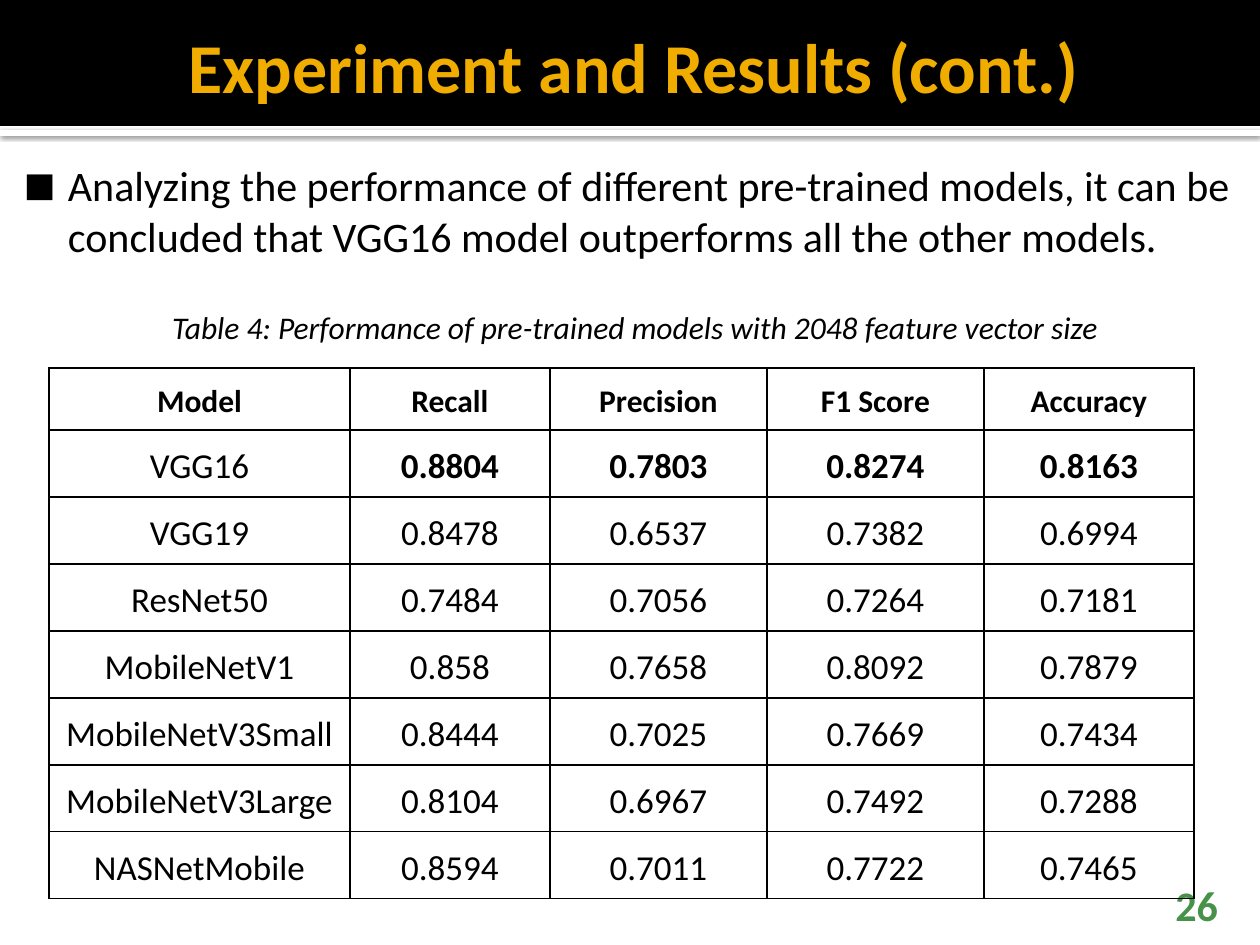
from lxml.etree import SubElement
from pptx import Presentation
from pptx.dml.color import RGBColor
from pptx.enum.shapes import MSO_SHAPE as Shape
from pptx.enum.text import MSO_ANCHOR as Anchor, PP_ALIGN as Align
from pptx.oxml.ns import qn
from pptx.util import Emu, Pt

BLACK = RGBColor(0x00, 0x00, 0x00)
WHITE = RGBColor(0xFF, 0xFF, 0xFF)
AMBER = RGBColor(0xF0, 0xAD, 0x00)
GREEN = RGBColor(0x47, 0x92, 0x49)

EMU_PER_PX = 914400 / 126

BODY_INSETS = (8, 13, 13, 6)
CELL_INSETS = (9, 9, 9, 9)
COLUMN_WIDTHS = [301, 200, 217, 217, 210]
ROW_HEIGHTS = [62] + [67] * 7
RESULTS = [
    ("Model", "Recall", "Precision", "F1 Score", "Accuracy"),
    ("VGG16", "0.8804", "0.7803", "0.8274", "0.8163"),
    ("VGG19", "0.8478", "0.6537", "0.7382", "0.6994"),
    ("ResNet50", "0.7484", "0.7056", "0.7264", "0.7181"),
    ("MobileNetV1", "0.858", "0.7658", "0.8092", "0.7879"),
    ("MobileNetV3Small", "0.8444", "0.7025", "0.7669", "0.7434"),
    ("MobileNetV3Large", "0.8104", "0.6967", "0.7492", "0.7288"),
    ("NASNetMobile", "0.8594", "0.7011", "0.7722", "0.7465"),
]


def px(length):
    return Emu(round(length * EMU_PER_PX))


def add_element(parent, tag, **attributes):
    return SubElement(parent, qn(tag), {key: str(value) for key, value in attributes.items()})


def set_insets(target, insets):
    for side, inset in zip(("left", "top", "right", "bottom"), insets):
        setattr(target, f"margin_{side}", px(inset))


class SlideBuilder:
    font_name = "Calibri"

    def __init__(self, slide):
        self.slide = slide

    def bar(self, left, top, width, height, color):
        shape = self.slide.shapes.add_shape(Shape.RECTANGLE, px(left), px(top), px(width), px(height))
        shape.shadow.inherit = False
        shape.fill.solid()
        shape.fill.fore_color.rgb = color
        shape.line.fill.background()
        return shape

    def shadow(self, shape, blur, distance, opacity):
        effects = shape._element.spPr.find(qn("a:effectLst"))
        outer = add_element(effects, "a:outerShdw", blurRad=Pt(blur), dist=Pt(distance),
                            dir=90 * 60000, algn="t", rotWithShape=0)
        color = add_element(outer, "a:srgbClr", val=BLACK)
        add_element(color, "a:alpha", val=opacity * 1000)

    def text_box(self, left, top, width, height, insets, anchor=Anchor.TOP):
        frame = self.slide.shapes.add_textbox(px(left), px(top), px(width), px(height)).text_frame
        frame.word_wrap = True
        frame.vertical_anchor = anchor
        set_insets(frame, insets)
        return frame

    def add_text(self, paragraph, text, size, color=BLACK, bold=False, italic=False, **formats):
        paragraph.add_run().text = text
        for name, value in formats.items():
            setattr(paragraph, name, value)
        font = paragraph.font
        font.color.rgb = color
        font_values = {"name": self.font_name, "size": Pt(size), "bold": bold, "italic": italic}
        for name, value in font_values.items():
            setattr(font, name, value)

    def indent(self, paragraph, margin, hanging=0):
        properties = paragraph._p.get_or_add_pPr()
        properties.set("marL", str(px(margin)))
        properties.set("indent", str(px(-hanging)))
        return properties

    def bullet(self, paragraph, margin, hanging, character):
        properties = self.indent(paragraph, margin, hanging)
        add_element(add_element(properties, "a:buClr"), "a:srgbClr", val=BLACK)
        add_element(properties, "a:buSzPct", val=80000)
        add_element(properties, "a:buFont", typeface=self.font_name)
        add_element(properties, "a:buChar", char=character)

    def cell_borders(self, cell):
        properties = cell._tc.get_or_add_tcPr()
        for side in ("L", "R", "T", "B"):
            line = add_element(properties, f"a:ln{side}", w=Pt(1))
            add_element(add_element(line, "a:solidFill"), "a:srgbClr", val=BLACK)

    def table(self, left, top, widths, heights, rows):
        frame = self.slide.shapes.add_table(len(rows), len(widths), px(left), px(top),
                                            px(sum(widths)), px(sum(heights)))
        table = frame.table
        table.first_row = table.horz_banding = False
        for column, width in zip(table.columns, widths):
            column.width = px(width)
        for row, height in zip(table.rows, heights):
            row.height = px(height)
        for row_index, values in enumerate(rows):
            header = row_index == 0
            for column_index, value in enumerate(values):
                cell = table.cell(row_index, column_index)
                self.cell_borders(cell)
                cell.fill.background()
                set_insets(cell, CELL_INSETS)
                cell.vertical_anchor = Anchor.MIDDLE if header else Anchor.TOP
                best_score = row_index == 1 and column_index > 0
                self.add_text(cell.text_frame.paragraphs[0], value, 18 if header else 20,
                              bold=header or best_score, alignment=Align.CENTER, line_spacing=1.15)


def main():
    presentation = Presentation()
    presentation.slide_width, presentation.slide_height = px(1260), px(945)
    builder = SlideBuilder(presentation.slides.add_slide(presentation.slide_layouts[6]))

    divider = builder.bar(0, 130, 1260, 6, WHITE)
    builder.shadow(divider, blur=2.5, distance=0.8, opacity=60)
    builder.bar(0, 0, 1260, 126, BLACK)

    title = builder.text_box(0, 10, 1260, 110, (13, 6, 6, 6), Anchor.MIDDLE)
    builder.add_text(title.paragraphs[0], "Experiment and Results (cont.)", 40, AMBER,
                     bold=True, alignment=Align.CENTER)

    body = builder.text_box(0, 147, 1260, 798, BODY_INSETS)
    finding = body.paragraphs[0]
    builder.bullet(finding, 60, 44, "■")
    builder.add_text(finding, "Analyzing the performance of different pre-trained models, it can be "
                     "concluded that VGG16 model outperforms all the other models.", 24)
    caption = body.add_paragraph()
    builder.indent(caption, 16)
    builder.add_text(caption, "Table 4: Performance of pre-trained models with 2048 feature vector size",
                     18, italic=True, alignment=Align.CENTER, space_before=Pt(27))

    page_number = builder.text_box(1130, 892, 101, 38, (13, 6, 13, 0), Anchor.BOTTOM)
    builder.add_text(page_number.paragraphs[0], "26", 24, GREEN, bold=True, alignment=Align.RIGHT)

    builder.table(49, 368, COLUMN_WIDTHS, ROW_HEIGHTS, RESULTS)
    presentation.save("out.pptx")


if __name__ == "__main__":
    main()
